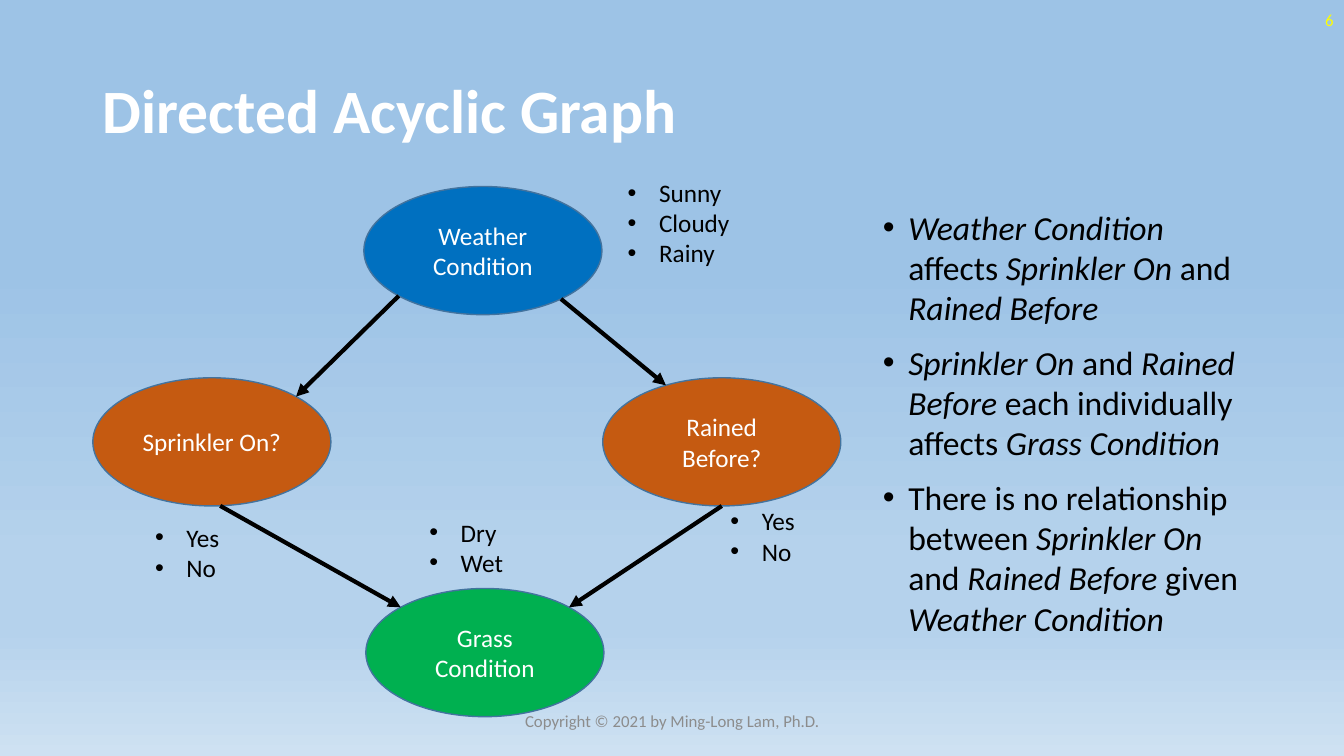
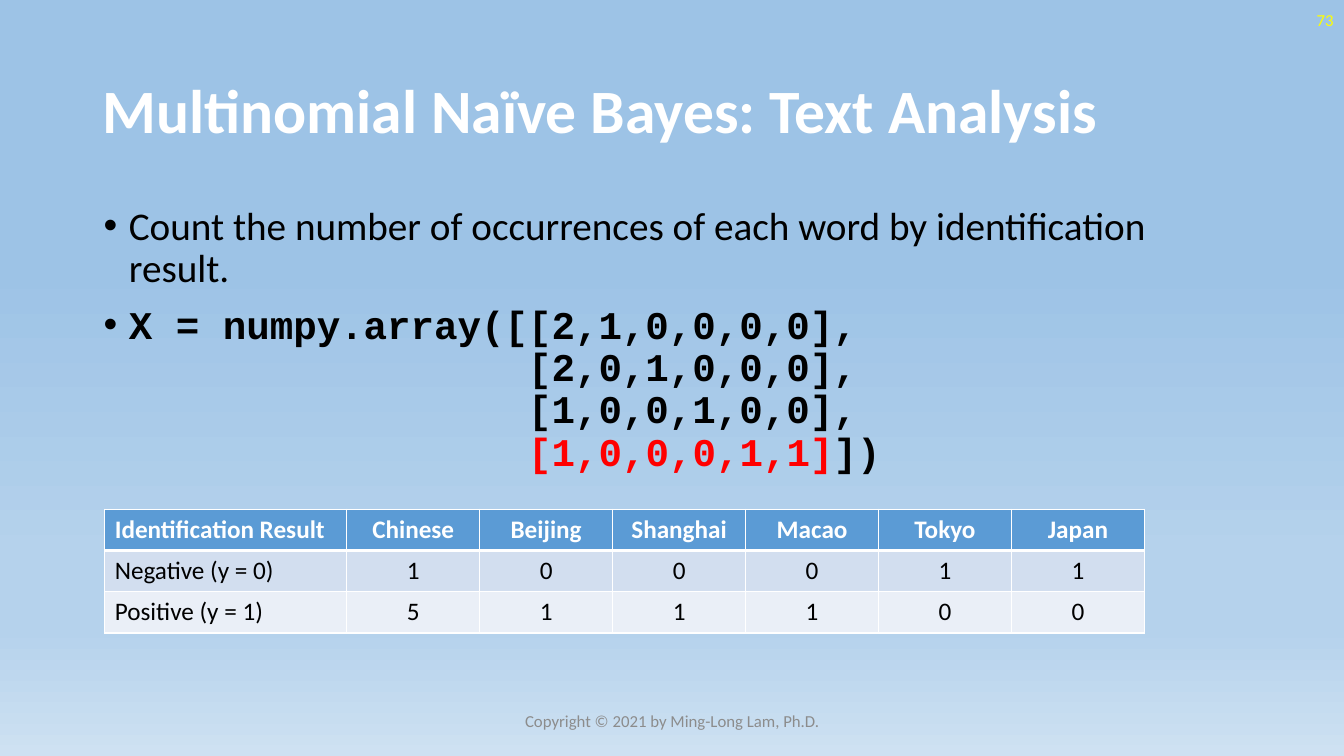
from math import cos, radians, sin

from lxml.etree import SubElement
from pptx import Presentation
from pptx.dml.color import RGBColor
from pptx.enum.shapes import MSO_CONNECTOR, MSO_SHAPE
from pptx.enum.text import MSO_ANCHOR, PP_ALIGN
from pptx.oxml.ns import qn
from pptx.util import Cm, Pt

# Shared colours and styles
WHITE = RGBColor(0xFF, 0xFF, 0xFF)
BLACK = RGBColor(0x00, 0x00, 0x00)
YELLOW = RGBColor(0xFF, 0xFF, 0x00)
RED = RGBColor(0xFF, 0x00, 0x00)
GREY = RGBColor(0x8C, 0x8C, 0x8C)
BLUE = RGBColor(0x00, 0x70, 0xC0)
ORANGE = RGBColor(0xC5, 0x5A, 0x11)
GREEN = RGBColor(0x00, 0xB0, 0x50)
OUTLINE = RGBColor(0x43, 0x73, 0x9E)
HEADER_FILL = RGBColor(0x5B, 0x9B, 0xD5)
ROW_FILLS = (RGBColor(0xD2, 0xDE, 0xEF), RGBColor(0xEA, 0xEF, 0xF7))
SKY_HIGH = RGBColor(0x9D, 0xC3, 0xE6)
SKY_MID = RGBColor(0xB5, 0xD2, 0xEC)
SKY_LOW = RGBColor(0xCE, 0xE1, 0xF2)
SKY_STOPS = ((35, SKY_HIGH), (74, SKY_MID), (83, SKY_MID), (100, SKY_LOW))

FONT, CODE_FONT = "Calibri", "Courier New"
FOOTER = "Copyright © 2021 by Ming-Long Lam, Ph.D."
NODE_W, NODE_H = 6.0, 3.23


def write(p, text, size=18, color=BLACK, bold=False, font=FONT, align=None,
          spacing=None, before=None, indent=None, **marked):
    """Fill a paragraph; *marked* parts are italic or take the marked_color."""
    if indent:
        pPr = p._p.get_or_add_pPr()
        pPr.set("marL", str(Cm(indent)))
        pPr.set("indent", str(-Cm(indent)))
        SubElement(pPr, qn("a:buFont"), typeface="Arial")
        SubElement(pPr, qn("a:buChar"), char="•")
    p.alignment = align
    p.line_spacing = spacing
    if before:
        p.space_before = Pt(before)
    mark_color = marked.get("marked_color")
    for i, part in enumerate(text.split("*")):
        is_marked = i % 2 == 1
        for n, line in enumerate(part.split("\n")):
            if n:
                p.add_line_break()
            if line:
                r = p.add_run()
                r.text = line
                f = r.font
                f.name, f.size, f.bold = font, Pt(size), bold
                f.italic = is_marked and not mark_color
                f.color.rgb = mark_color if is_marked and mark_color else color


def text_box(s, box, anchor=MSO_ANCHOR.TOP):
    tf = s.shapes.add_textbox(*map(Cm, box)).text_frame
    tf.word_wrap = True
    tf.vertical_anchor = anchor
    return tf


def bullets(s, box, items, before=None, **fmt):
    tf = text_box(s, box)
    for i, item in enumerate(items):
        p = tf.add_paragraph() if i else tf.paragraphs[0]
        own = {}
        if isinstance(item, tuple):
            item, own = item
        write(p, item, before=before if i else None, **{**fmt, **own})


def framed_slide(prs, title, number):
    """Blank slide with sky background, title, number and footer."""
    s = prs.slides.add_slide(prs.slide_layouts[6])
    fill = s.background.fill
    fill.gradient()
    fill.gradient_angle = 270
    stops = s.element.find(".//" + qn("a:gsLst"))
    for gs in list(stops):
        stops.remove(gs)
    for pos, color in SKY_STOPS:
        gs = SubElement(stops, qn("a:gs"), pos=str(pos * 1000))
        SubElement(gs, qn("a:srgbClr"), val=str(color))
    for text, box, fmt in (
        (title, (2.34, 1.02, 29.21, 3.68),
         dict(size=44, color=WHITE, bold=True, spacing=0.9)),
        (str(number), (26.24, 0, 7.62, 1.02),
         dict(size=12, color=YELLOW, align=PP_ALIGN.RIGHT)),
        (FOOTER, (11.23, 17.65, 11.43, 1.02),
         dict(size=12, color=GREY, align=PP_ALIGN.CENTER)),
    ):
        write(text_box(s, box, MSO_ANCHOR.MIDDLE).paragraphs[0], text, **fmt)
    return s


def node(s, x, y, label, color):
    sp = s.shapes.add_shape(MSO_SHAPE.OVAL, *map(Cm, (x, y, NODE_W, NODE_H)))
    sp.shadow.inherit = False
    sp.fill.solid()
    sp.fill.fore_color.rgb = color
    sp.line.color.rgb = OUTLINE
    sp.line.width = Pt(1)
    tf = sp.text_frame
    tf.word_wrap = True
    tf.vertical_anchor = MSO_ANCHOR.MIDDLE
    write(tf.paragraphs[0], label, color=WHITE, align=PP_ALIGN.CENTER)


def rim_point(x, y, angle):
    """Point on a node's rim, clockwise in degrees from its right end."""
    a = radians(angle)
    return (Cm(x + NODE_W / 2 * (1 + cos(a))),
            Cm(y + NODE_H / 2 * (1 + sin(a))))


def arrow(s, start, end):
    c = s.shapes.add_connector(MSO_CONNECTOR.STRAIGHT, *start, *end)
    c.line.color.rgb = BLACK
    c.line.width = Pt(3)
    SubElement(c.line._get_or_add_ln(), qn("a:tailEnd"), type="triangle")
    SubElement(c._element.spPr, qn("a:effectLst"))


def graph(s, left, top):
    """Four nodes, their arrows and the lists of values."""
    nodes = {
        "weather": (6.83, 0.36, "Weather Condition", BLUE),
        "rained": (12.85, 5.18, "Rained Before?", ORANGE),
        "sprinkler": (0, 5.18, "Sprinkler On?", ORANGE),
        "grass": (6.88, 10.49, "Grass Condition", GREEN),
    }
    places = {}
    for name, (x, y, label, color) in nodes.items():
        places[name] = (left + x, top + y)
        node(s, *places[name], label, color)
    for source, leave, target, arrive in (
        ("weather", 135, "sprinkler", 315),
        ("rained", 90, "grass", 315),
        ("weather", 49, "rained", 242),
        ("sprinkler", 86, "grass", 225),
    ):
        arrow(s, rim_point(*places[source], leave),
              rim_point(*places[target], arrive))
    for x, y, values in (
        (13.23, 0, ("Sunny", "Cloudy", "Rainy")),
        (1.32, 8.69, ("Yes", "No")),
        (15.82, 8.28, ("Yes", "No")),
        (8.23, 8.56, ("Dry", "Wet")),
    ):
        box = (left + x, top + y, 3.15, 0.25 + 0.76 * len(values))
        bullets(s, box, values, indent=0.79)


def style_cell(cell, fill, bottom=1):
    tcPr = cell._tc.get_or_add_tcPr()
    for side, width in (("L", 1), ("R", 1), ("T", 1), ("B", bottom)):
        ln = SubElement(tcPr, qn("a:ln" + side), w=str(Pt(width)))
        solid = SubElement(ln, qn("a:solidFill"))
        SubElement(solid, qn("a:srgbClr"), val=str(WHITE))
    cell.fill.solid()
    cell.fill.fore_color.rgb = fill
    cell.vertical_anchor = MSO_ANCHOR.MIDDLE


def count_table(s, left, top, rows, label_w=6.1, count_w=3.35, row_h=1.04):
    n = len(rows[0])
    width = label_w + count_w * (n - 1)
    box = (left, top, width, row_h * len(rows))
    table = s.shapes.add_table(len(rows), n, *map(Cm, box)).table
    for j, col in enumerate(table.columns):
        col.width = Cm(count_w if j else label_w)
    for i, row in enumerate(rows):
        table.rows[i].height = Cm(row_h)
        header = i == 0
        for j, value in enumerate(row):
            cell = table.cell(i, j)
            style_cell(cell, HEADER_FILL if header else ROW_FILLS[i - 1],
                       bottom=3 if header else 1)
            write(cell.text_frame.paragraphs[0], str(value), bold=header,
                  color=WHITE if header else BLACK,
                  align=PP_ALIGN.CENTER if j else PP_ALIGN.LEFT)


def graph_slide(prs):
    s = framed_slide(prs, "Directed Acyclic Graph", 6)
    bullets(s, (22, 5.08, 9.53, 12.09), (
        "*Weather Condition* affects *Sprinkler On* and *Rained Before*",
        "*Sprinkler On* and *Rained Before* each individually affects "
        "*Grass Condition*",
        "There is no relationship between *Sprinkler On* and *Rained Before* "
        "given *Weather Condition*",
    ), size=24, before=10, indent=0.64)
    graph(s, 2.34, 4.34)


def text_analysis_slide(prs):
    s = framed_slide(prs, "Multinomial Naïve Bayes: Text Analysis", 73)
    code = """X = numpy.array([[2,1,0,0,0,0],
                 [2,0,1,0,0,0],
                 [1,0,0,1,0,0],
                 *[1,0,0,0,1,1]*])"""
    bullets(s, (2.36, 5.08, 29.21, 12.09), (
        "Count the number of occurrences of each word by identification "
        "result.",
        (code, dict(font=CODE_FONT, bold=True, marked_color=RED)),
    ), size=28, before=10, spacing=0.9, indent=0.64)
    count_table(s, 2.64, 12.83, (
        ("Identification Result", "Chinese", "Beijing", "Shanghai", "Macao",
         "Tokyo", "Japan"),
        ("Negative (y = 0)", 1, 0, 0, 0, 1, 1),
        ("Positive (y = 1)", 5, 1, 1, 1, 0, 0),
    ))


def main():
    prs = Presentation()
    prs.slide_width, prs.slide_height = Cm(33.87), Cm(19.05)
    graph_slide(prs)
    text_analysis_slide(prs)
    prs.save("out.pptx")


if __name__ == "__main__":
    main()
